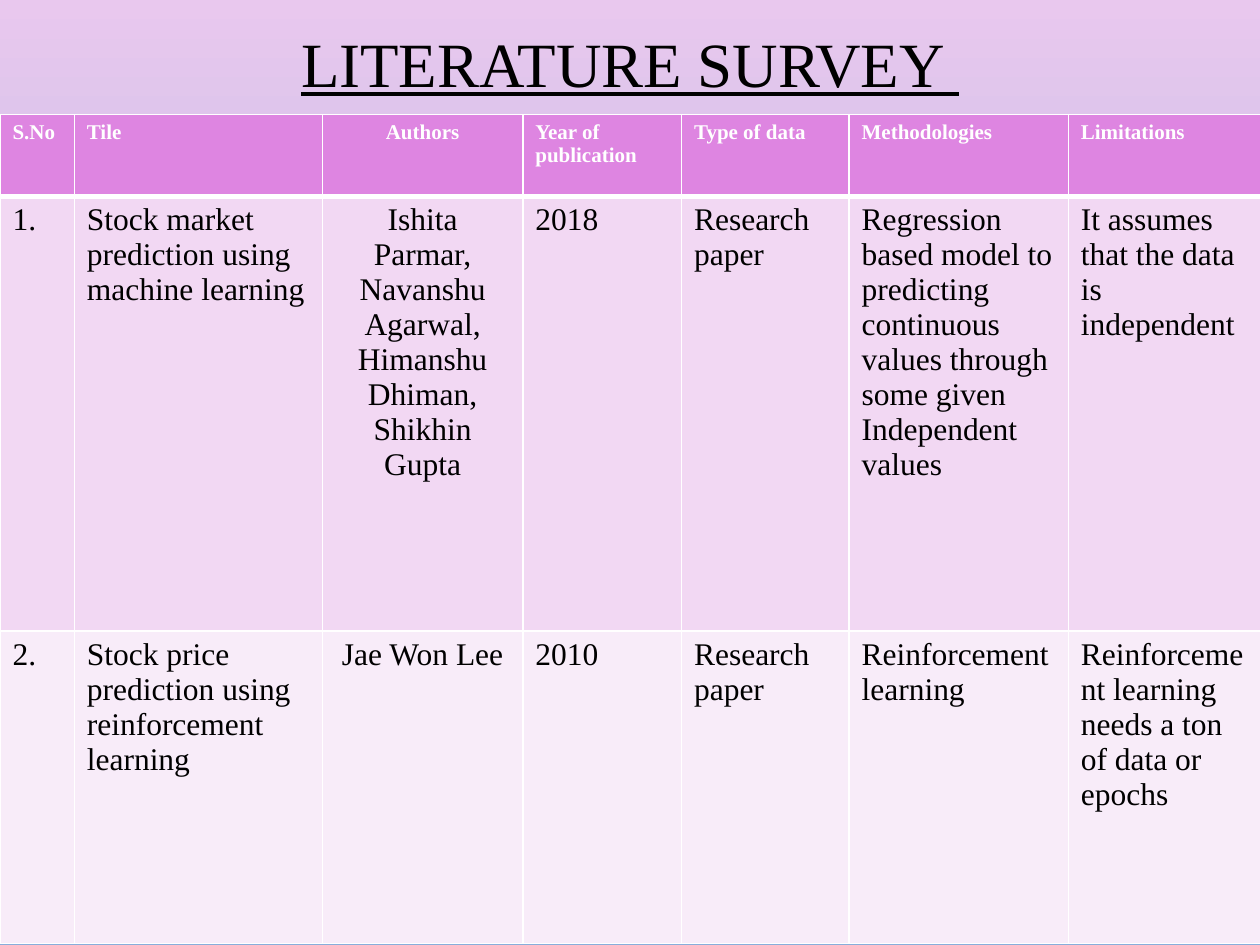
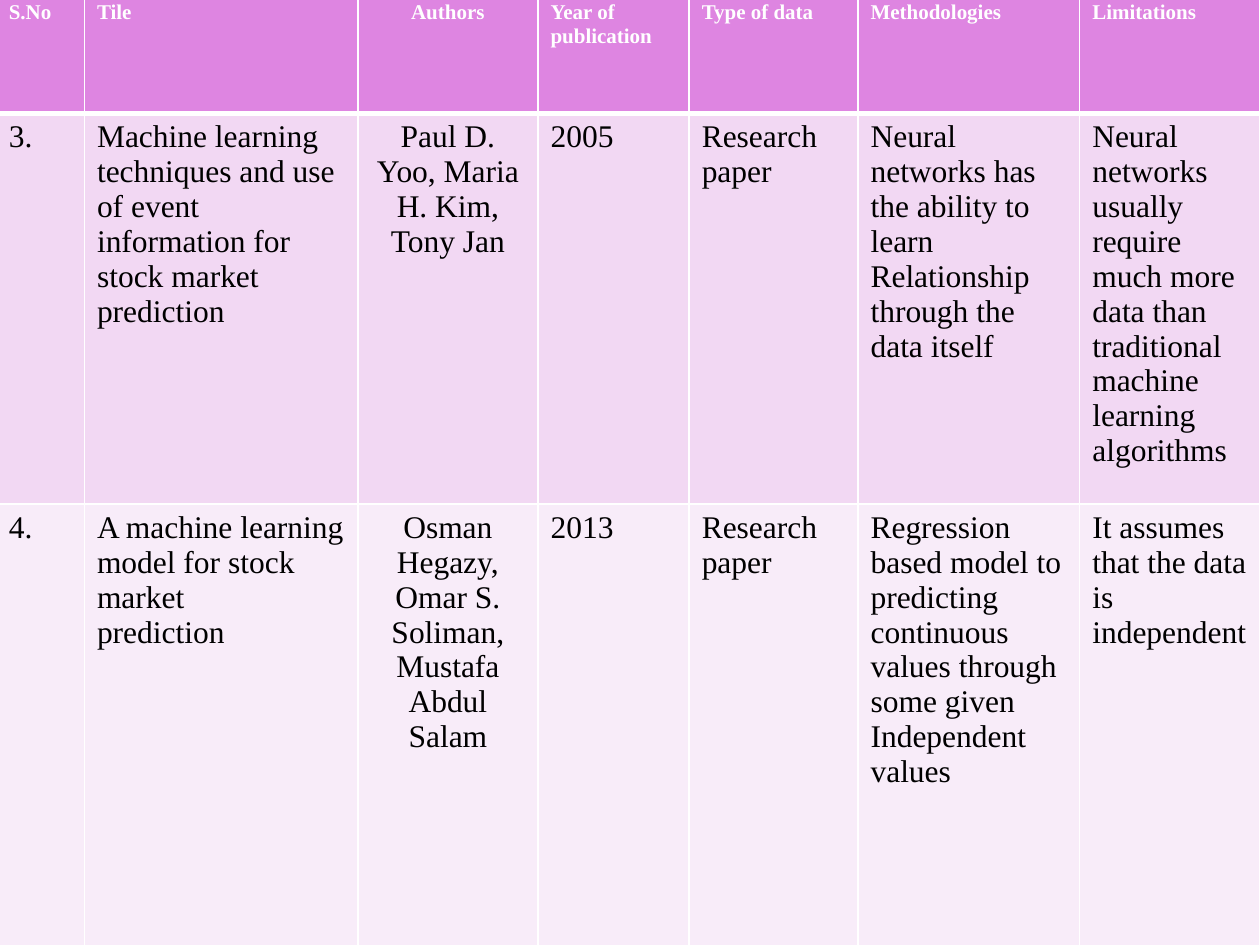
"""Build the two literature survey slides."""
from lxml import etree
from pptx import Presentation
from pptx import util as u
from pptx.dml.color import RGBColor
from pptx.enum import text
from pptx.oxml import ns

WIDTH, HEIGHT = 10, 7.5
FONT = "Times New Roman"
BLACK = RGBColor(0x00, 0x00, 0x00)
WHITE = RGBColor(0xFF, 0xFF, 0xFF)
PINK = RGBColor(0xE9, 0xC8, 0xEE)
BLUE = RGBColor(0x88, 0xAE, 0xDB)
ORCHID = RGBColor(0xDE, 0x85, 0xE1)
LILAC = RGBColor(0xF2, 0xD8, 0xF3)
PALE_LILAC = RGBColor(0xF8, 0xEC, 0xF9)

TITLE_FORMAT = {"name": FONT, "size": u.Pt(36), "underline": True}
HEADING_FORMAT = {"name": FONT, "size": u.Pt(12), "bold": True}
ENTRY_FORMAT = {"name": FONT, "size": u.Pt(18), "bold": False}
ROW_FILLS = [ORCHID, LILAC, PALE_LILAC]

THIN, THICK = 0.96, 3
HEADINGS = ["S.No", "Tile", "Authors", "Year of publication",
            "Type of data", "Methodologies", "Limitations"]
AUTHORS = HEADINGS.index("Authors")
PAPER = "Research paper"
REGRESSION = ("Regression based model to predicting continuous values "
              "through some given\nIndependent values")
INDEPENDENCE = "It assumes that the data is independent"

EARLY_SURVEY = [
    ["1.", "Stock market prediction using machine learning",
     "Ishita Parmar, Navanshu Agarwal, Himanshu Dhiman, Shikhin Gupta",
     "2018", PAPER, REGRESSION, INDEPENDENCE],
    ["2.", "Stock price prediction using reinforcement learning",
     "Jae Won Lee", "2010", PAPER, "Reinforcement learning",
     "Reinforcement learning needs a ton of data or epochs"],
]
LATER_SURVEY = [
    ["3.", "Machine learning techniques and use of event information "
           "for stock market\nprediction",
     "Paul D. Yoo, Maria H. Kim, Tony Jan", "2005", PAPER,
     "Neural networks has the ability to learn\n"
     "Relationship through the data itself",
     "Neural networks usually require much more data than traditional "
     "machine learning algorithms"],
    ["4.", "A machine learning model for stock market\nprediction",
     "Osman Hegazy, Omar S. Soliman, Mustafa Abdul Salam",
     "2013", PAPER, REGRESSION, INDEPENDENCE],
]


def add_survey_slide(deck):
    """Add a blank slide with the shared pink to blue background."""
    slide = deck.slides.add_slide(deck.slide_layouts[6])
    backdrop = slide.background.fill
    backdrop.gradient()
    backdrop.gradient_angle = 270
    for stop, color, position in zip(backdrop.gradient_stops, (PINK, BLUE), (0, 1)):
        stop.color.rgb = color
        stop.position = position
    return slide


def style_paragraphs(frame, font_format, color, align):
    """Apply font values, colour and alignment to every paragraph."""
    for paragraph in frame.paragraphs:
        paragraph.alignment = align
        for run in paragraph.runs:
            for attribute, value in font_format.items():
                setattr(run.font, attribute, value)
            run.font.color.rgb = color


def add_title(slide, wording):
    """Add the centred, underlined slide title."""
    heading = slide.shapes.add_textbox(
        u.Inches(0.075 * WIDTH), u.Inches(-0.34), u.Inches(0.85 * WIDTH), u.Inches(1.74))
    frame = heading.text_frame
    frame.word_wrap = True
    frame.vertical_anchor = text.MSO_ANCHOR.MIDDLE
    frame.text = wording
    frame.paragraphs[0].line_spacing = 0.9
    style_paragraphs(frame, TITLE_FORMAT, BLACK, text.PP_ALIGN.CENTER)


def add_borders(cell, top, bottom):
    """Draw white borders around a cell, with thin sides."""
    properties = cell._tc.get_or_add_tcPr()
    for side, width in {"L": THIN, "R": THIN, "T": top, "B": bottom}.items():
        border = etree.SubElement(properties, ns.qn(f"a:ln{side}"), w=str(u.Pt(width)))
        paint = etree.SubElement(border, ns.qn("a:solidFill"))
        etree.SubElement(paint, ns.qn("a:srgbClr"), val=str(WHITE))


def fill_cell(cell, wording, row, column):
    """Write one survey cell in the style of its row and column."""
    is_heading = row == 0
    add_borders(cell, THICK if row == 1 else THIN, THICK if is_heading else THIN)
    cell.fill.solid()
    cell.fill.fore_color.rgb = ROW_FILLS[row]
    cell.text = wording
    style_paragraphs(
        cell.text_frame,
        HEADING_FORMAT if is_heading else ENTRY_FORMAT,
        WHITE if is_heading else BLACK,
        text.PP_ALIGN.CENTER if column == AUTHORS else text.PP_ALIGN.LEFT)


def add_survey(slide, entries, left, top, column_widths, row_heights):
    """Add a survey table below the shared headings."""
    rows = [HEADINGS] + entries
    frame = slide.shapes.add_table(
        len(rows), len(HEADINGS), u.Inches(left), u.Inches(top),
        u.Inches(sum(column_widths)), u.Inches(sum(row_heights)))
    survey = frame.table
    survey.first_row = survey.horz_banding = False
    for column, width in zip(survey.columns, column_widths):
        column.width = u.Inches(width)
    for row, height in zip(survey.rows, row_heights):
        row.height = u.Inches(height)
    for row, entry in enumerate(rows):
        for column, wording in enumerate(entry):
            fill_cell(survey.cell(row, column), wording, row, column)


def main():
    """Build and save both survey slides."""
    deck = Presentation()
    deck.slide_width, deck.slide_height = u.Inches(WIDTH), u.Inches(HEIGHT)

    early = add_survey_slide(deck)
    add_title(early, "LITERATURE SURVEY ")
    add_survey(early, EARLY_SURVEY, 0, 0.91,
               [0.59, 1.97, 1.59, 1.26, 1.33, 1.74, 1.53], [0.65, 3.45, 2.48])

    later = add_survey_slide(deck)
    add_survey(later, LATER_SURVEY, -0.03, -0.04,
               [0.7, 2.17, 1.43, 1.2, 1.34, 1.76, 1.43], [0.94, 3, 3.59])

    deck.save("out.pptx")


if __name__ == "__main__":
    main()
